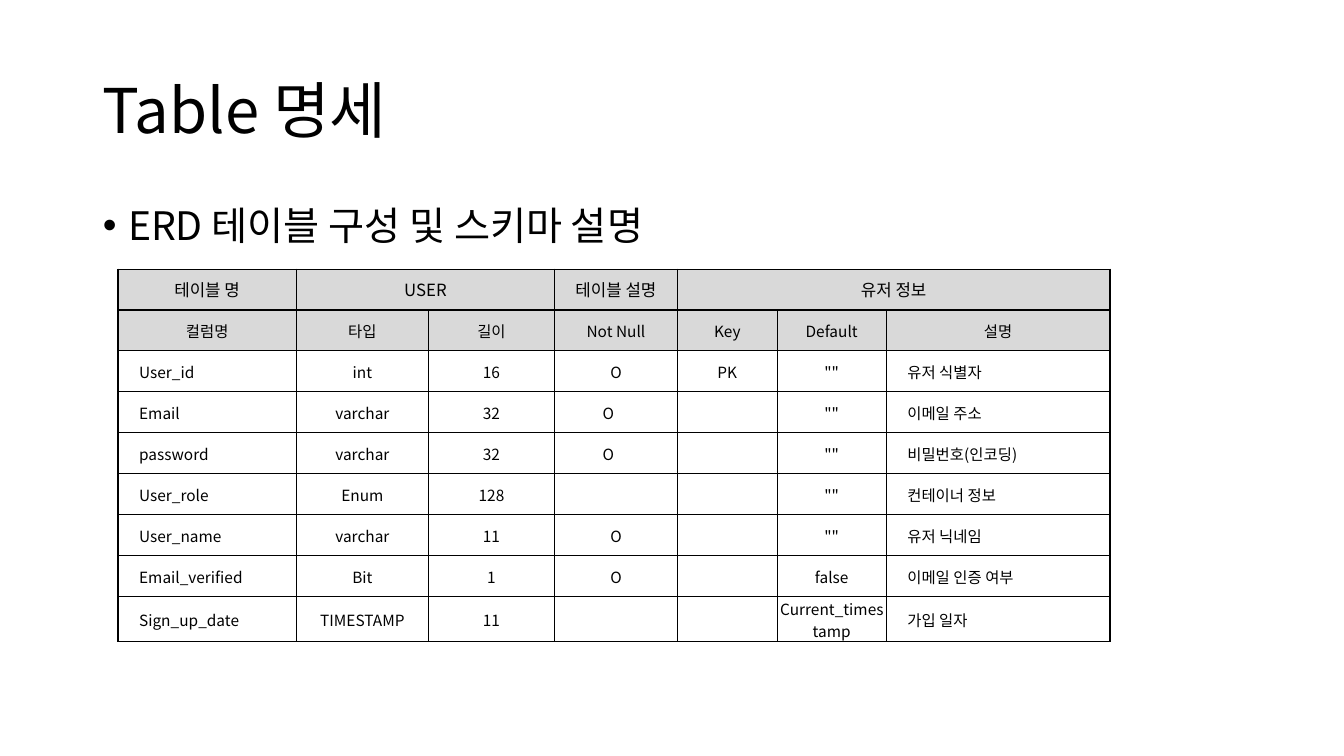
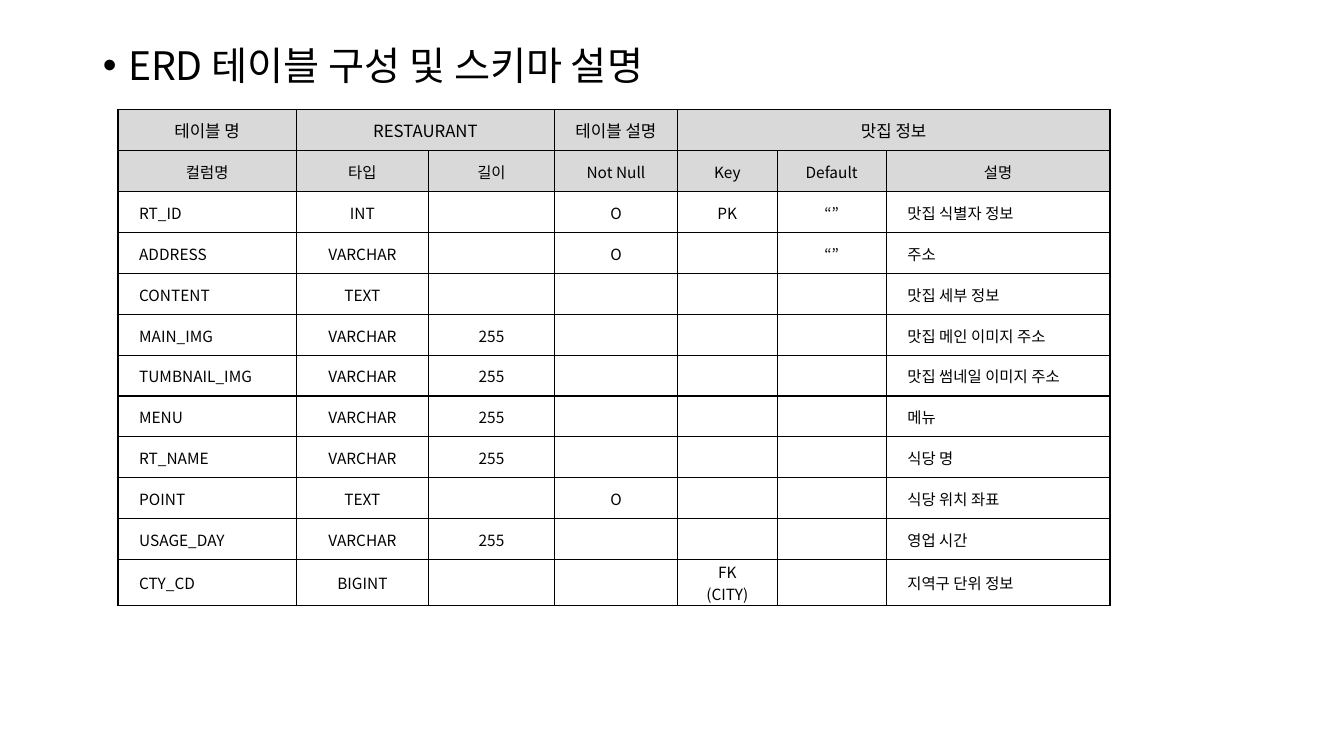
from lxml import etree
from pptx import Presentation
from pptx.dml.color import RGBColor
from pptx.enum.text import MSO_ANCHOR, MSO_AUTO_SIZE, PP_ALIGN
from pptx.oxml.ns import qn
from pptx.util import Inches, Pt

LEFT, CENTER = PP_ALIGN.LEFT, PP_ALIGN.CENTER
TOP, MIDDLE = MSO_ANCHOR.TOP, MSO_ANCHOR.MIDDLE
NO_AUTOFIT = MSO_AUTO_SIZE.NONE

FONT = "Noto Sans CJK KR"
BLACK, HEADER_GRAY = "000000", "D9D9D9"
TITLE_AND_CONTENT = 1

TABLE_LEFT = 1.17
COLUMN_WIDTHS = [1.77, 1.31, 1.25, 1.22, 0.99, 1.08, 2.22]
COLUMN_NAMES = ["컬럼명", "타입", "길이", "Not Null", "Key", "Default", "설명"]
LEFT_ALIGNED_COLUMNS = (0, 6)
HEADING = "ERD 테이블 구성 및 스키마 설명"

SLIDES = [
    {
        "title": "Table 명세",
        "body_top": 2,
        "table_top": 2.67,
        "table_height": 3.65,
        "name": "USER",
        "description": "유저 정보",
        "fields": [
            ("User_id", "int", "16", "O", "PK", '""', "유저 식별자"),
            ("Email", "varchar", "32", "O　", "", '""', "이메일 주소"),
            ("password", "varchar", "32", "O　", "", '""', "비밀번호(인코딩)"),
            ("User_role", "Enum", "128", "", "", '""', "컨테이너 정보"),
            ("User_name", "varchar", "11", "O", "", '""', "유저 닉네임"),
            ("Email_verified", "Bit", "1", "O", "", "false", "이메일 인증 여부"),
            ("Sign_up_date", "TIMESTAMP", "11", "", "", "Current_timestamp", "가입 일자"),
        ],
    },
    {
        "title": None,
        "body_top": 0.41,
        "table_top": 1.09,
        "table_height": 4.87,
        "name": "RESTAURANT",
        "description": "맛집 정보",
        "fields": [
            ("RT_ID", "INT", "", "O", "PK", "“”", "맛집 식별자 정보"),
            ("ADDRESS", "VARCHAR", "", "O", "", "“”", "주소"),
            ("CONTENT", "TEXT", "", "", "", "", "맛집 세부 정보"),
            ("MAIN_IMG", "VARCHAR", "255", "", "", "", "맛집 메인 이미지 주소"),
            ("TUMBNAIL_IMG", "VARCHAR", "255", "", "", "", "맛집 썸네일 이미지 주소"),
            ("MENU", "VARCHAR", "255", "", "", "", "메뉴"),
            ("RT_NAME", "VARCHAR", "255", "", "", "", "식당 명"),
            ("POINT", "TEXT", "", "O", "", "", "식당 위치 좌표"),
            ("USAGE_DAY", "VARCHAR", "255", "", "", "", "영업 시간"),
            ("CTY_CD", "BIGINT", "", "", "FK\n(CITY)", "", "지역구 단위 정보"),
        ],
    },
]


def rgb(color):
    return RGBColor.from_string(color)


def write(frame, text, size, align=LEFT, indent=0, hanging=0, bullet=None, line_spacing=1.0):
    paragraph = frame.paragraphs[0]
    paragraph.text = text
    properties = paragraph._p.get_or_add_pPr()
    properties.set("marL", str(Inches(indent)))
    properties.set("indent", str(-Inches(hanging)))
    if bullet:
        etree.SubElement(properties, qn("a:buFont"), typeface="Arial")
        etree.SubElement(properties, qn("a:buChar"), char=bullet)
    paragraph.alignment = align
    paragraph.line_spacing = line_spacing
    paragraph.space_before = Pt(0)
    for line_break in paragraph._p.findall(qn("a:br")):
        etree.SubElement(line_break, qn("a:rPr"), sz=str(size * 100))
    for run in paragraph.runs:
        run.font.size = Pt(size)
        run.font.color.rgb = rgb(BLACK)
        run.font.name = FONT
        etree.SubElement(run._r.get_or_add_rPr(), qn("a:ea"), typeface=FONT)


def fill_placeholder(placeholder, text, top, height, anchor, **text_format):
    placeholder.left, placeholder.top = Inches(0.92), Inches(top)
    placeholder.width, placeholder.height = Inches(11.5), Inches(height)
    frame = placeholder.text_frame
    frame.word_wrap = True
    frame.auto_size = NO_AUTOFIT
    frame.vertical_anchor = anchor
    write(frame, text, line_spacing=0.9, **text_format)


def add_borders(cell):
    properties = cell._tc.get_or_add_tcPr()
    for side in ("lnL", "lnR", "lnT", "lnB"):
        border = etree.SubElement(properties, qn("a:" + side), w=str(Pt(1)))
        solid = etree.SubElement(border, qn("a:solidFill"))
        etree.SubElement(solid, qn("a:srgbClr"), val=BLACK)


def format_cell(cell, row, column):
    add_borders(cell)
    cell.vertical_anchor = MIDDLE
    if row < 2:
        cell.fill.solid()
        cell.fill.fore_color.rgb = rgb(HEADER_GRAY)
    else:
        cell.fill.background()
    if row > 0:
        cell.margin_left = cell.margin_right = cell.margin_top = Inches(0.01)
        cell.margin_bottom = 0


def add_schema_table(slide, content):
    caption = ["테이블 명", content["name"], "", "테이블 설명", content["description"], "", ""]
    rows = [caption, COLUMN_NAMES, *content["fields"]]
    table = slide.shapes.add_table(
        len(rows), len(COLUMN_WIDTHS), Inches(TABLE_LEFT), Inches(content["table_top"]),
        Inches(sum(COLUMN_WIDTHS)), Inches(content["table_height"])).table
    table.first_row = table.horz_banding = False
    for column, width in zip(table.columns, COLUMN_WIDTHS):
        column.width = Inches(width)
    for r, values in enumerate(rows):
        for c, value in enumerate(values):
            cell = table.cell(r, c)
            format_cell(cell, r, c)
            if value:
                indented = r > 1 and c in LEFT_ALIGNED_COLUMNS
                write(cell.text_frame, value, 11 if r else 12,
                      align=LEFT if indented else CENTER, indent=0.2 if indented else 0)
    for first, last in ((1, 2), (4, 6)):
        table.cell(0, first).merge(table.cell(0, last))


def add_schema_slide(presentation, content):
    slide = presentation.slides.add_slide(presentation.slide_layouts[TITLE_AND_CONTENT])
    title, body = slide.placeholders
    if content["title"]:
        fill_placeholder(title, content["title"], 0.4, 1.45, MIDDLE, size=44)
    else:
        title._element.getparent().remove(title._element)
    fill_placeholder(body, HEADING, content["body_top"], 4.76, TOP,
                     size=28, indent=0.25, hanging=0.25, bullet="•")
    add_schema_table(slide, content)


def main():
    presentation = Presentation()
    presentation.slide_width, presentation.slide_height = Inches(13.33), Inches(7.5)
    for content in SLIDES:
        add_schema_slide(presentation, content)
    presentation.save("out.pptx")


if __name__ == "__main__":
    main()
